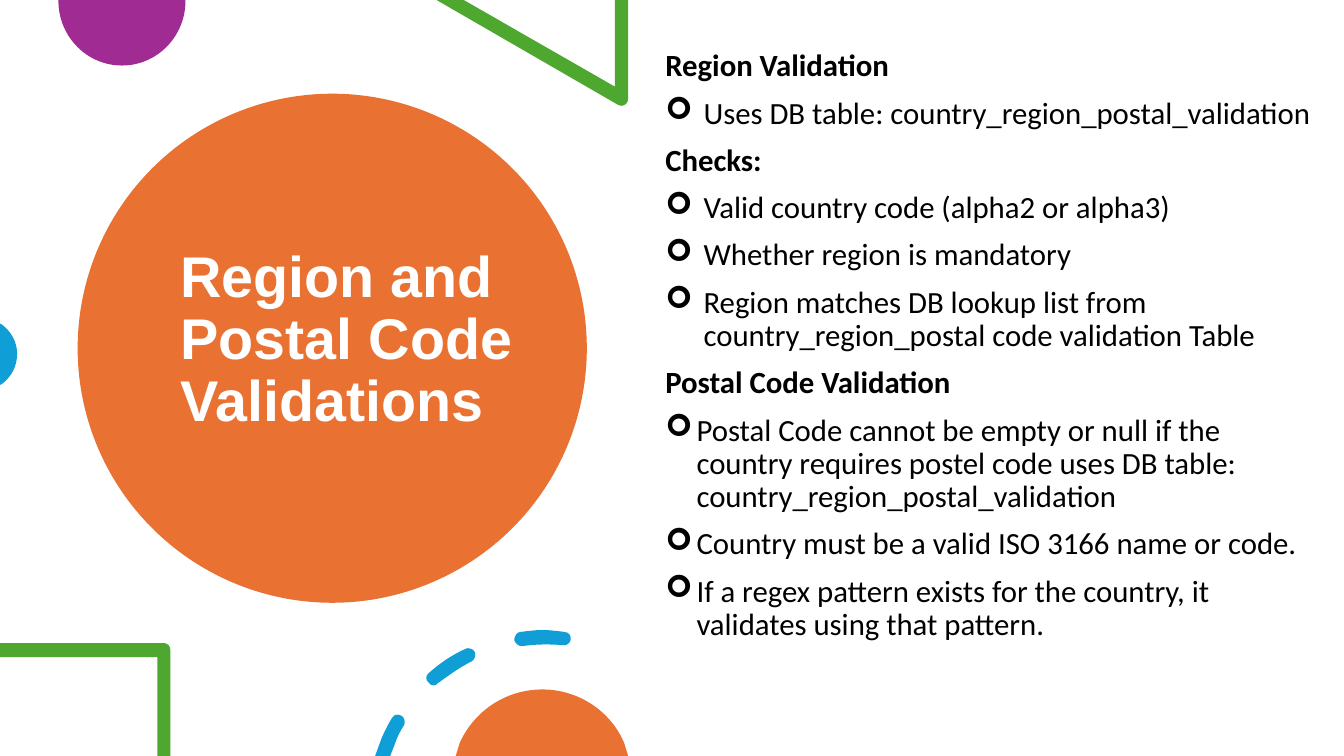
from lxml import etree
from pptx import Presentation
from pptx.dml.color import RGBColor
from pptx.enum.shapes import MSO_SHAPE
from pptx.enum.text import MSO_ANCHOR, MSO_AUTO_SIZE, PP_ALIGN
from pptx.oxml.ns import qn
from pptx.util import Inches, Pt

ORANGE = RGBColor(0xE9, 0x71, 0x32)
PURPLE = RGBColor(0xA0, 0x2B, 0x93)
GREEN = RGBColor(0x4E, 0xA7, 0x2E)
BLUE = RGBColor(0x0F, 0x9E, 0xD5)
WHITE = RGBColor(0xFF, 0xFF, 0xFF)
BLACK = RGBColor(0, 0, 0)
TITLE_ONLY = 5

# Each outline step is a point (x, y) or a cubic curve (x1, y1, x2, y2, x, y).
PURPLE_DISC = [(1.84, 0), (0.58, 0), (0.58, 0.01),
               (0.58, 0.36, 0.86, 0.65, 1.21, 0.65),
               (1.56, 0.65, 1.84, 0.36, 1.84, 0.01)]
GREEN_TRIANGLE = [(6.23, 0), (6.1, 0), (6.1, 0.86), (4.6, 0), (4.33, 0), (6.13, 1.04),
                  (6.14, 1.05, 6.15, 1.05, 6.16, 1.05),
                  (6.2, 1.05, 6.23, 1.02, 6.23, 0.98)]
BLUE_DISC = [(0, 3.21), (0, 3.82), (0.02, 3.81),
             (0.11, 3.74, 0.17, 3.64, 0.17, 3.51),
             (0.17, 3.39, 0.11, 3.29, 0.02, 3.22)]
GREEN_CORNER = [(1.63, 6.38), (0, 6.38), (0, 6.52), (1.56, 6.52), (1.56, 7.5),
                (1.69, 7.5), (1.69, 6.45), (1.69, 6.41, 1.66, 6.38, 1.63, 6.38)]
LOWER_DASH = [(3.95, 7.09), (3.93, 7.08, 3.9, 7.1, 3.89, 7.12),
              (3.85, 7.18, 3.82, 7.25, 3.79, 7.31), (3.72, 7.5), (3.87, 7.5),
              (3.92, 7.37), (3.94, 7.31, 3.97, 7.25, 4.01, 7.19),
              (4.02, 7.16, 4.01, 7.11, 3.98, 7.1), (3.97, 7.09, 3.96, 7.09, 3.95, 7.09)]
MIDDLE_DASH = [(4.64, 6.43), (4.63, 6.43, 4.62, 6.43, 4.61, 6.44),
               (4.48, 6.5, 4.36, 6.58, 4.25, 6.68), (4.22, 6.7, 4.22, 6.75, 4.25, 6.77),
               (4.26, 6.79, 4.28, 6.8, 4.3, 6.8), (4.3, 6.8),
               (4.32, 6.8, 4.33, 6.79, 4.34, 6.78),
               (4.45, 6.7, 4.56, 6.62, 4.68, 6.56), (4.71, 6.54, 4.72, 6.5, 4.71, 6.47),
               (4.69, 6.44, 4.67, 6.43, 4.64, 6.43)]
UPPER_DASH = [(5.38, 6.25), (5.31, 6.25, 5.24, 6.26, 5.16, 6.27),
              (5.13, 6.27, 5.1, 6.31, 5.1, 6.35), (5.11, 6.38, 5.14, 6.41, 5.17, 6.41),
              (5.18, 6.41, 5.18, 6.41, 5.18, 6.41), (5.32, 6.39, 5.45, 6.39, 5.58, 6.4),
              (5.62, 6.41, 5.65, 6.38, 5.66, 6.35), (5.67, 6.31, 5.64, 6.27, 5.6, 6.27),
              (5.6, 6.27, 5.6, 6.27, 5.6, 6.27), (5.53, 6.26, 5.45, 6.25, 5.38, 6.25)]
ORANGE_DISC = [(5.38, 6.84), (5.01, 6.84, 4.7, 7.06, 4.56, 7.37), (4.52, 7.5),
               (6.23, 7.5), (6.19, 7.37), (6.06, 7.06, 5.74, 6.84, 5.38, 6.84)]

DECORATIONS = [
    (PURPLE, [PURPLE_DISC]),
    (GREEN, [GREEN_TRIANGLE]),
    (BLUE, [BLUE_DISC]),
    (GREEN, [GREEN_CORNER]),
    (BLUE, [LOWER_DASH, MIDDLE_DASH, UPPER_DASH]),
    (ORANGE, [ORANGE_DISC]),
]

# Heading, bullet indent in inches, bullets
SECTIONS = [
    ("Region Validation", 0.38, ["Uses DB table: country_region_postal_validation"]),
    ("Checks:", 0.38, [
        "Valid country code (alpha2 or alpha3)",
        "Whether region is mandatory",
        "Region matches DB lookup list from country_region_postal code validation Table",
    ]),
    ("Postal Code Validation", 0.31, [
        "Postal Code cannot be empty or null if the country requires postel code "
        "uses DB table: country_region_postal_validation",
        "Country must be a valid ISO 3166 name or code.",
        "If a regex pattern exists for the country, it validates using that pattern.",
    ]),
]


def paint(shape, color):
    shape.shadow.inherit = False
    shape.fill.solid()
    shape.fill.fore_color.rgb = color
    shape.line.fill.background()


def bend_curves(shape, outlines):
    """Join the three lines that stand for each curve into one cubic curve."""
    lines = iter(list(shape.element.iter(qn("a:lnTo"))))
    for outline in outlines:
        for step in outline[1:]:
            line = next(lines)
            if len(step) == 6:
                line.tag_name = None
                curve = etree.Element(qn("a:cubicBezTo"))
                line.addprevious(curve)
                for part in (line, next(lines), next(lines)):
                    curve.append(part[0])
                    part.getparent().remove(part)


def add_decoration(page, color, outlines):
    builder = page.shapes.build_freeform(*map(Inches, outlines[0][0]))
    for number, outline in enumerate(outlines):
        points = [(Inches(step[i]), Inches(step[i + 1]))
                  for step in outline for i in range(0, len(step), 2)]
        if number:
            builder.move_to(*points[0])
        builder.add_line_segments(points[1:], close=True)
    shape = builder.convert_to_shape()
    bend_curves(shape, outlines)
    paint(shape, color)


def write(para, text, font, size, color, bold=False, before=0, indent=None):
    """Fill a paragraph; an indent in inches makes it a bullet."""
    para.alignment = PP_ALIGN.LEFT
    para.line_spacing = 0.9
    para.space_before = Pt(before)
    span = para.add_run()
    span.text = text
    span.font.name = font
    span.font.size = Pt(size)
    span.font.bold = bold
    span.font.color.rgb = color
    if indent:
        props = para._p.get_or_add_pPr()
        props.set("marL", str(Inches(indent)))
        props.set("indent", str(-Inches(indent)))
        bullet_color = etree.SubElement(props, qn("a:buClr"))
        etree.SubElement(bullet_color, qn("a:srgbClr")).set("val", str(color))
        etree.SubElement(props, qn("a:buFont")).set("typeface", "Wingdings")
        etree.SubElement(props, qn("a:buChar")).set("char", "➢")


def add_title(page):
    title = page.shapes.title
    title.left, title.top = Inches(1.69), Inches(1.81)
    title.width, title.height = Inches(3.54), Inches(4.45)
    frame = title.text_frame
    frame.word_wrap = True
    frame.auto_size = MSO_AUTO_SIZE.NONE
    frame.vertical_anchor = MSO_ANCHOR.MIDDLE
    frame.margin_bottom = Inches(1.35)
    write(frame.paragraphs[0], "Region and Postal Code Validations",
          font="Arial", size=41, color=WHITE, bold=True)
    circle = page.shapes.add_shape(
        MSO_SHAPE.OVAL, Inches(0.77), Inches(0.93), Inches(5.05), Inches(5.05))
    paint(circle, ORANGE)
    title.element.addprevious(circle.element)  # circle goes behind the title


def add_rules(page):
    box = page.shapes.add_textbox(Inches(6.5), Inches(0.45), Inches(6.62), Inches(6.62))
    frame = box.text_frame
    frame.word_wrap = True
    lines = []
    for heading, indent, bullets in SECTIONS:
        lines.append((heading, None))
        lines += [(bullet, indent) for bullet in bullets]
    for i, (text, indent) in enumerate(lines):
        para = frame.add_paragraph() if i else frame.paragraphs[0]
        write(para, text, font="Calibri", size=22, color=BLACK,
              bold=indent is None, before=10 if i else 0, indent=indent)


def main():
    deck = Presentation()
    deck.slide_width, deck.slide_height = Inches(13.33), Inches(7.5)
    page = deck.slides.add_slide(deck.slide_layouts[TITLE_ONLY])
    add_title(page)
    for color, outlines in DECORATIONS:
        add_decoration(page, color, outlines)
    add_rules(page)
    deck.save("out.pptx")


if __name__ == "__main__":
    main()
